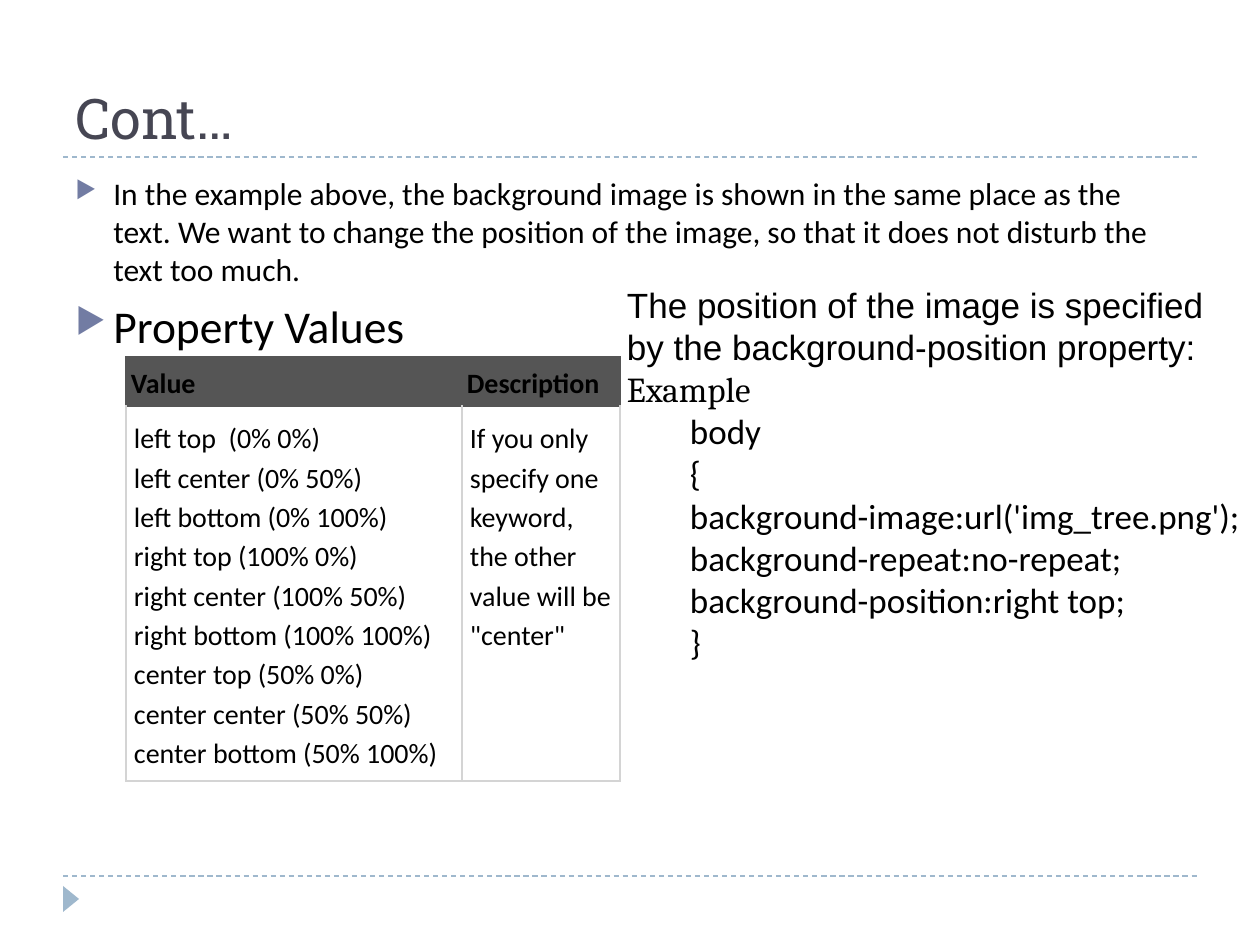
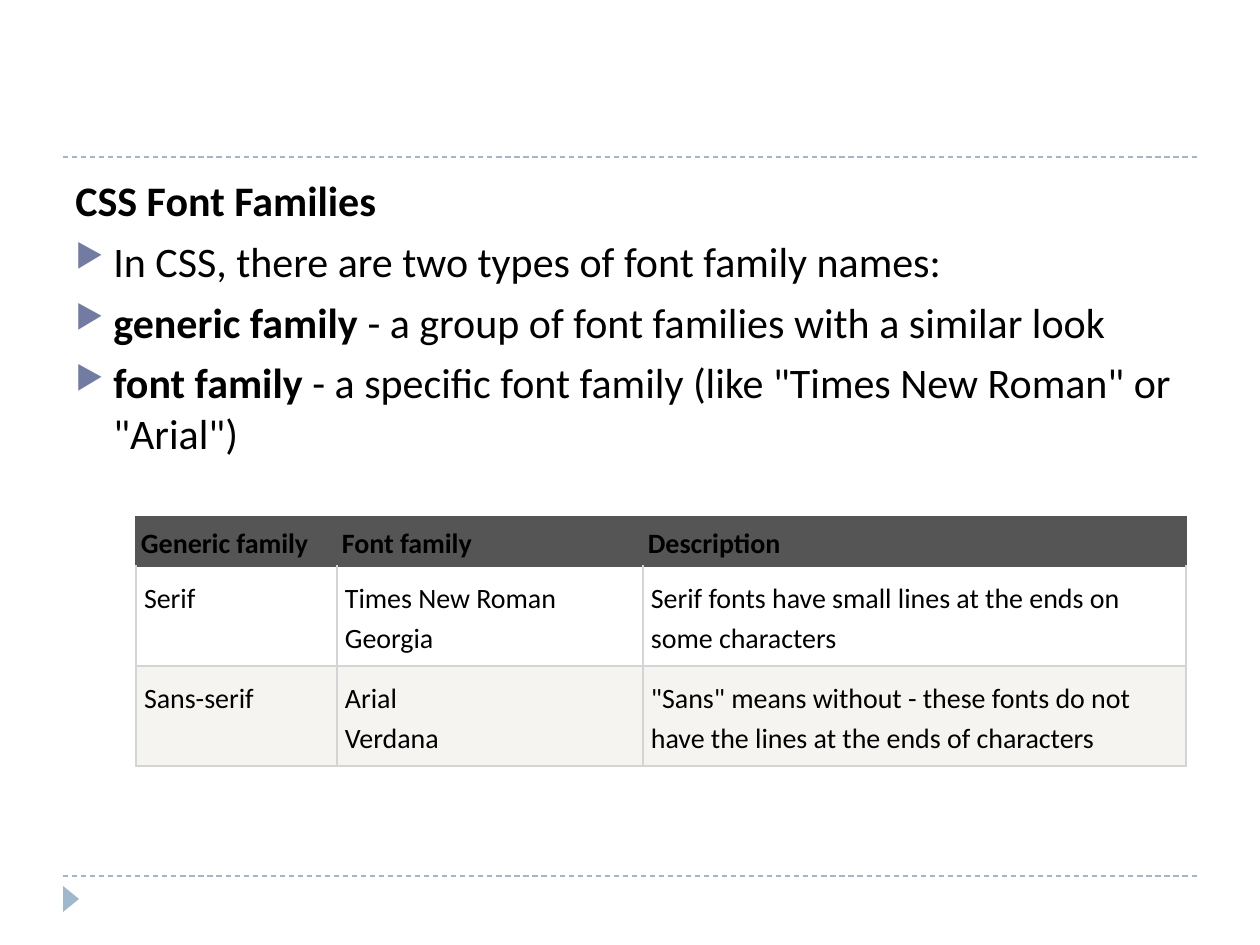
"""Build two slides about CSS background positions and font families."""
from copy import deepcopy
from dataclasses import dataclass

from lxml import etree
from pptx import Presentation
from pptx import util as u
from pptx.dml.color import RGBColor
from pptx.enum import dml, shapes, text
from pptx.oxml.ns import qn

SCALE = 914400 / 126


@dataclass(frozen=True)
class Theme:
    ink: str = "000000"
    title: str = "464653"
    accent: str = "9FB8CD"
    bullet: str = "727CA3"
    header: str = "555555"
    grid: str = "D4D4D4"
    plain_row: str = "FFFFFF"
    shaded_row: str = "F6F4F0"
    body_font: str = "Calibri"
    title_font: str = "Roboto Slab"
    title_size: int = 32
    heading_size: int = 26
    lead_size: int = 24
    note_size: int = 20
    intro_size: int = 18
    table_size: int = 16


THEME = Theme()


def px(length):
    return u.Emu(round(length * SCALE))


def color(value):
    return RGBColor.from_string(value)


def set_format(target, values):
    for name, value in values.items():
        setattr(target, name, value)


def set_margins(target, left, top):
    set_format(target, {"margin_left": px(left), "margin_right": px(left),
                        "margin_top": px(top), "margin_bottom": px(top)})


def write(paragraph, content, size, ink=THEME.ink, **font):
    for index, line in enumerate(content.split("\n")):
        if index:
            paragraph.add_line_break()
        run = paragraph.add_run()
        run.text = line
        set_format(run.font, {"size": u.Pt(size), "name": THEME.body_font, **font})
        run.font.color.rgb = color(ink)
        if index:
            run._r.getprevious().insert(0, deepcopy(run._r.rPr))


def set_indent(paragraph, left, first=0):
    properties = paragraph._p.get_or_add_pPr()
    properties.set("marL", str(px(left)))
    properties.set("indent", str(px(first)))
    return properties


def add_bullet(properties):
    bullet_color = etree.SubElement(properties, qn("a:buClr"))
    etree.SubElement(bullet_color, qn("a:srgbClr"), val=THEME.bullet)
    etree.SubElement(properties, qn("a:buSzPct"), val="76000")
    etree.SubElement(properties, qn("a:buChar"), char="▶")


def add_text_box(slide, left, top, width, height, **frame_format):
    frame = slide.shapes.add_textbox(*map(px, (left, top, width, height))).text_frame
    set_format(frame, {"word_wrap": True, **frame_format})
    return frame


def add_paragraphs(frame, count):
    return [frame.paragraphs[0]] + [frame.add_paragraph() for _ in range(count - 1)]


def add_title(slide, content):
    frame = add_text_box(slide, 63, 21, 1134, 136,
                         vertical_anchor=text.MSO_ANCHOR.BOTTOM)
    write(frame.paragraphs[0], content, THEME.title_size, THEME.title,
          name=THEME.title_font)


def add_body(slide, items):
    frame = add_text_box(slide, 63, 168, 1134, 680)
    for paragraph, (size, bulleted, spans) in zip(add_paragraphs(frame, len(items)), items):
        paragraph.space_before = u.Pt(6)
        properties = set_indent(paragraph, 38, -38)
        if bulleted:
            add_bullet(properties)
        for content, bold in spans:
            write(paragraph, content, size, bold=bold)


def add_rule(slide, height):
    rule = slide.shapes.add_connector(shapes.MSO_CONNECTOR.STRAIGHT,
                                      *map(px, (63, height, 1197, height)))
    set_format(rule.line, {"width": u.Pt(0.75), "dash_style": dml.MSO_LINE.DASH})
    rule.line.color.rgb = color(THEME.accent)
    etree.SubElement(rule._element.spPr, qn("a:effectLst"))


def add_page_marker(slide):
    marker = slide.shapes.add_shape(shapes.MSO_SHAPE.ISOSCELES_TRIANGLE,
                                    *map(px, (58, 891, 26, 16)))
    marker.rotation = 90
    marker.shadow.inherit = False
    marker.fill.solid()
    marker.fill.fore_color.rgb = color(THEME.accent)
    marker.line.fill.background()


def add_slide(presentation):
    slide = presentation.slides.add_slide(presentation.slide_layouts[6])
    for height in (876, 157):
        add_rule(slide, height)
    add_page_marker(slide)
    return slide


def set_borders(cell, sides):
    properties = cell._tc.get_or_add_tcPr()
    for index, side in enumerate("LRTB"):
        line = etree.Element(qn(f"a:ln{side}"), w=str(u.Pt(1)))
        fill = etree.SubElement(line, qn("a:solidFill"))
        etree.SubElement(fill, qn("a:srgbClr"), val=sides[side])
        properties.insert(index, line)


def fill_cell(cell, content, row):
    header = row == 0
    background = THEME.header if header else (THEME.shaded_row, THEME.plain_row)[row % 2]
    set_margins(cell, *((5, 5) if header else (8, 11)))
    cell.fill.solid()
    cell.fill.fore_color.rgb = color(background)
    edge = THEME.header if header else THEME.grid
    set_borders(cell, {**dict.fromkeys("LRB", edge),
                       "T": THEME.header if row < 2 else THEME.grid})
    paragraph = cell.text_frame.paragraphs[0]
    paragraph.line_spacing = 1.15
    write(paragraph, content, THEME.table_size, bold=header)


def add_table(slide, left, top, widths, heights, rows):
    frame = slide.shapes.add_table(len(heights), len(widths), *map(
        px, (left, top, sum(widths), sum(heights))))
    table = frame.table
    set_format(table, {"first_row": False, "horz_banding": False})
    for column, width in zip(table.columns, widths):
        column.width = px(width)
    for row, height in zip(table.rows, heights):
        row.height = px(height)
    for row_index, contents in enumerate(rows):
        for column_index, content in enumerate(contents):
            fill_cell(table.cell(row_index, column_index), content, row_index)


def add_position_note(slide):
    frame = add_text_box(slide, 627, 284, 620, 378,
                         vertical_anchor=text.MSO_ANCHOR.MIDDLE)
    set_margins(frame, 0, 0)
    intro, label, code = add_paragraphs(frame, 3)
    write(intro, "The position of the image is specified by the "
                 "background-position property:", THEME.note_size, name="Arial")
    write(label, "Example", THEME.note_size, name="Cambria")
    set_indent(code, 63)
    write(code, "body\n{\nbackground-image:url('img_tree.png');\n"
                "background-repeat:no-repeat;\nbackground-position:right top;\n}",
          THEME.note_size)


def build_position_slide(presentation):
    slide = add_slide(presentation)
    add_title(slide, "Cont…")
    add_body(slide, [
        (THEME.intro_size, True, [(
            "In the example above, the background image is shown in the same place "
            "as the text. We want to change the position of the image, so that it "
            "does not disturb the text too much.", False)]),
        (THEME.heading_size, True, [("Property Values", False)]),
    ])
    positions = ("left top  (0% 0%)\nleft center (0% 50%)\nleft bottom (0% 100%)\n"
                 "right top (100% 0%)\nright center (100% 50%)\n"
                 "right bottom (100% 100%)\ncenter top (50% 0%)\n"
                 "center center (50% 50%)\ncenter bottom (50% 100%)")
    add_table(slide, 126, 357, (336, 158), (49, 375), [
        ("Value", "Description"),
        (positions, 'If you only specify one keyword, the other value will be "center"'),
    ])
    add_position_note(slide)


def build_font_slide(presentation):
    slide = add_slide(presentation)
    size = THEME.lead_size
    add_body(slide, [
        (size, False, [("CSS Font Families", True)]),
        (size, True, [("In CSS, there are two types of font family names:", False)]),
        (size, True, [("generic family", True),
                      (" - a group of font families with a similar look", False)]),
        (size, True, [("font family", True),
                      (' - a specific font family (like "Times New Roman" or "Arial")',
                       False)]),
    ])
    add_table(slide, 136, 517, (201, 306, 543), (49, 100, 100), [
        ("Generic family", "Font family", "Description"),
        ("Serif", "Times New Roman\nGeorgia",
         "Serif fonts have small lines at the ends on some characters"),
        ("Sans-serif", "Arial\nVerdana",
         '"Sans" means without - these fonts do not have the lines '
         "at the ends of characters"),
    ])


def main():
    presentation = Presentation()
    set_format(presentation, {"slide_width": px(1260), "slide_height": px(945)})
    build_position_slide(presentation)
    build_font_slide(presentation)
    presentation.save("out.pptx")


if __name__ == "__main__":
    main()
